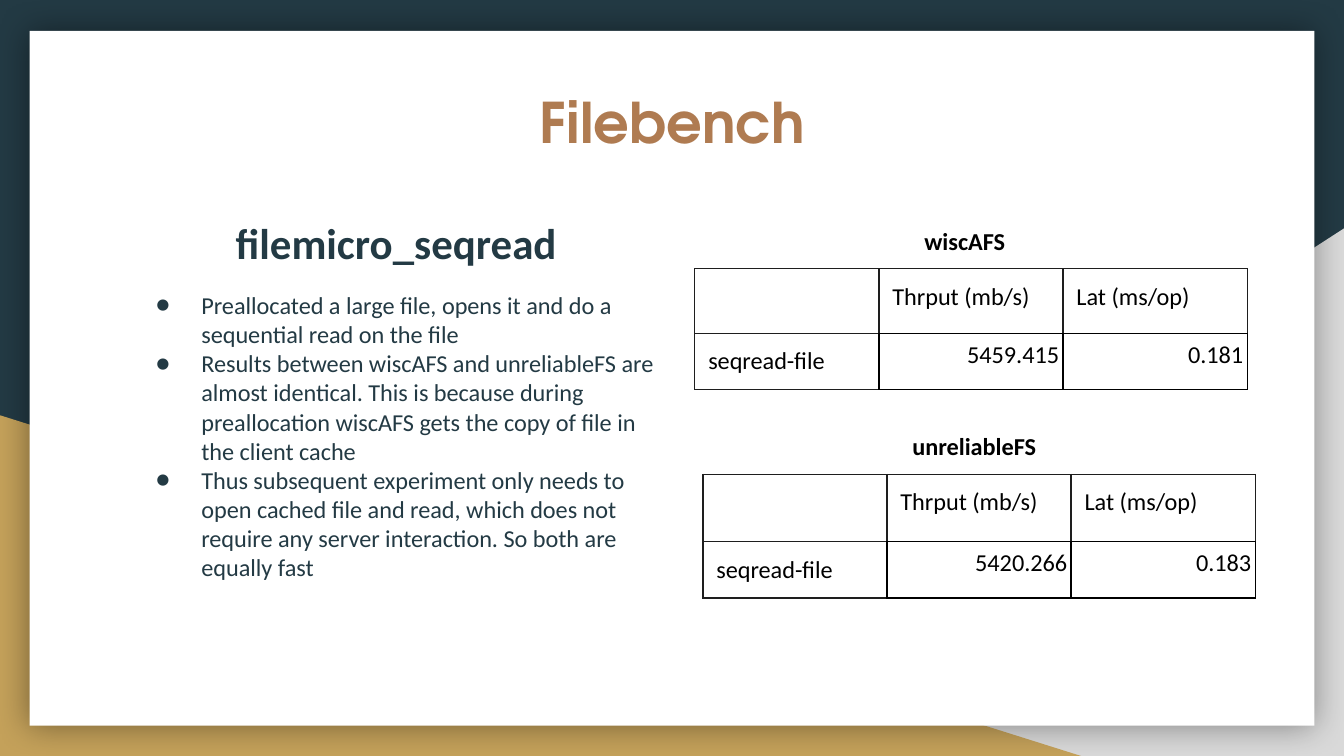
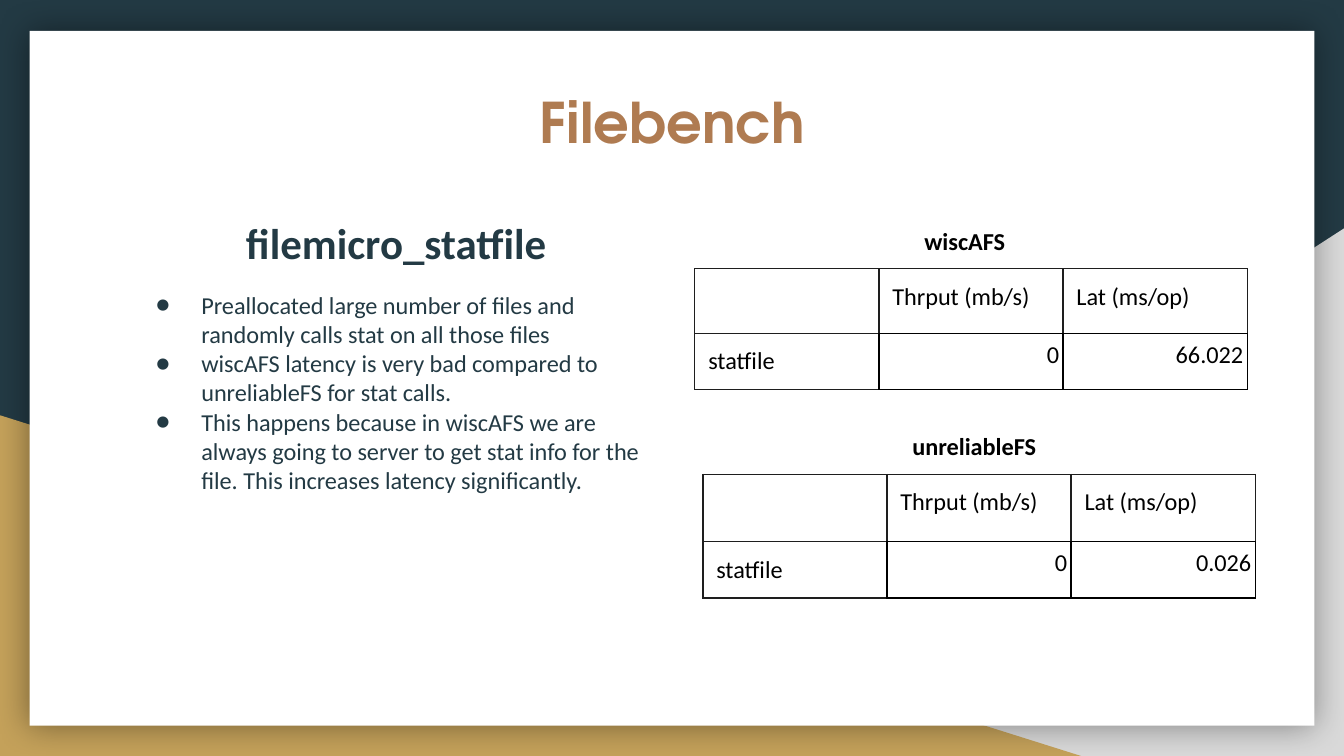
from dataclasses import dataclass

import pptx
import pptx.dml.color
import pptx.enum.shapes
import pptx.enum.text
import pptx.oxml
import pptx.oxml.ns
import pptx.util
from lxml import etree

Inches = pptx.util.Inches
Pt = pptx.util.Pt
ALIGN = pptx.enum.text.PP_ALIGN
SHAPE = pptx.enum.shapes.MSO_SHAPE
qn = pptx.oxml.ns.qn


@dataclass(frozen=True)
class Theme:
    navy: str = "233A44"
    gold: str = "C4A15A"
    grey: str = "D9D9D9"
    white: str = "FFFFFF"
    copper: str = "AF7B51"
    black: str = "000000"
    grid: str = "1E1E1E"
    title_font: str = "TeX Gyre Adventor"
    body_font: str = "Calibri"
    title_size: int = 30
    heading_size: int = 23
    body_size: int = 13
    grid_width: float = 0.75
    inset: float = 0.1


THEME = Theme()


@dataclass(frozen=True)
class Box:
    left: float
    top: float
    width: float
    height: float

    def emu(self) -> tuple:
        return tuple(Inches(v) for v in (self.left, self.top, self.width, self.height))


@dataclass(frozen=True)
class Backdrop:
    preset: int
    box: Box
    color: str
    flip: bool = False
    shadow: bool = False


@dataclass(frozen=True)
class ResultPlace:
    """Where the label and table of one file system stand."""
    name: str
    label: Box
    left: float
    top: float
    rows: tuple


@dataclass(frozen=True)
class Benchmark:
    heading: str
    row_name: str
    points: tuple
    results: tuple


BACKDROPS = (
    Backdrop(SHAPE.RIGHT_TRIANGLE, Box(3.92, 1.7, 6.08, 3.93), THEME.grey, flip=True),
    Backdrop(SHAPE.RIGHT_TRIANGLE, Box(0, 3.09, 8.06, 2.54), THEME.gold),
    Backdrop(SHAPE.RECTANGLE, Box(0.22, 0.23, 9.56, 5.17), THEME.white, shadow=True),
)
TITLE_BOX = Box(0.9, 0.55, 8.21, 0.77)
BODY_BOX = Box(0.9, 1.51, 4.1, 3.43)
PLACES = (
    ResultPlace("wiscAFS", Box(6.78, 1.58, 0.89, 0.42), 5.17, 2, (0.48, 0.42)),
    ResultPlace("unreliableFS", Box(6.69, 3.11, 1.19, 0.42), 5.23, 3.53, (0.5, 0.42)),
)
COLUMN_WIDTH = 1.37
HEADERS = ("", "Thrput (mb/s)", "Lat (ms/op)")

BENCHMARKS = (
    Benchmark(
        "filemicro_seqread",
        "seqread-file",
        (
            "Preallocated a large file, opens it and do a sequential read on the file",
            "Results between wiscAFS and unreliableFS are almost identical. This is because "
            "during preallocation wiscAFS gets the copy of file in the client cache",
            "Thus subsequent experiment only needs to open cached file and read, which does "
            "not require any server interaction. So both are equally fast",
        ),
        (("5459.415", "0.181"), ("5420.266", "0.183")),
    ),
    Benchmark(
        "filemicro_statfile",
        "statfile",
        (
            "Preallocated large number of files and randomly calls stat on all those files",
            "wiscAFS latency is very bad compared to unreliableFS for stat calls.",
            "This happens because in wiscAFS we are always going to server to get stat info "
            "for the file. This increases latency significantly.",
        ),
        (("0", "66.022"), ("0", "0.026")),
    ),
)


def rgb(color: str) -> pptx.dml.color.RGBColor:
    return pptx.dml.color.RGBColor.from_string(color)


def write(p, text: str, *, size: int = THEME.body_size, font: str = THEME.body_font,
          color: str = THEME.black, bold: bool = False, align=ALIGN.LEFT,
          before: float = 0, spacing: float = 1.0) -> None:
    p.alignment = align
    p.space_before = Pt(before)
    p.line_spacing = spacing
    if not text:
        etree.SubElement(p._p, qn("a:endParaRPr"), sz=str(size * 100))
        return
    r = p.add_run()
    r.text = text
    r.font.size = Pt(size)
    r.font.name = font
    r.font.bold = bold
    r.font.color.rgb = rgb(color)


def add_bullet(p, color: str) -> None:
    pPr = p._p.get_or_add_pPr()
    pPr.set("marL", str(Inches(0.5)))
    pPr.set("indent", str(-Inches(0.34)))
    bullet_color = etree.SubElement(pPr, qn("a:buClr"))
    etree.SubElement(bullet_color, qn("a:srgbClr"), val=color)
    etree.SubElement(pPr, qn("a:buSzPts"), val=str(THEME.body_size * 100))
    etree.SubElement(pPr, qn("a:buFont"), typeface=THEME.body_font)
    etree.SubElement(pPr, qn("a:buChar"), char="●")


def add_text_frame(s, box: Box):
    tf = s.shapes.add_textbox(*box.emu()).text_frame
    tf.word_wrap = True
    tf.margin_left = tf.margin_right = Inches(THEME.inset)
    tf.margin_top = tf.margin_bottom = Inches(THEME.inset)
    return tf


def add_soft_shadow(sp) -> None:
    effects = sp._element.spPr.find(qn("a:effectLst"))
    shadow = etree.SubElement(effects, qn("a:outerShdw"), blurRad=str(Pt(18)),
                              dist="0", dir="0", algn="ctr", rotWithShape="0")
    color = etree.SubElement(shadow, qn("a:srgbClr"), val=THEME.black)
    etree.SubElement(color, qn("a:alpha"), val="40000")


def add_backdrop(s, item: Backdrop) -> None:
    sp = s.shapes.add_shape(item.preset, *item.box.emu())
    sp.shadow.inherit = False
    sp.fill.solid()
    sp.fill.fore_color.rgb = rgb(item.color)
    sp.line.fill.background()
    if item.flip:
        sp._element.spPr.find(qn("a:xfrm")).set("flipH", "1")
    if item.shadow:
        add_soft_shadow(sp)


def set_borders(cell, color: str) -> None:
    tcPr = cell._tc.get_or_add_tcPr()
    for i, side in enumerate(("lnL", "lnR", "lnT", "lnB")):
        ln = etree.Element(qn(f"a:{side}"), w=str(Pt(THEME.grid_width)))
        fill = etree.SubElement(ln, qn("a:solidFill"))
        etree.SubElement(fill, qn("a:srgbClr"), val=color)
        tcPr.insert(i, ln)


def fill_cell(cell, text: str, is_value: bool) -> None:
    across, down = (0.03, 0.02) if is_value else (THEME.inset, THEME.inset)
    cell.margin_left = cell.margin_right = Inches(across)
    cell.margin_top = cell.margin_bottom = Inches(down)
    cell.fill.background()
    set_borders(cell, THEME.black if is_value else THEME.grid)
    write(cell.text_frame.paragraphs[0], text,
          align=ALIGN.RIGHT if is_value else ALIGN.LEFT,
          spacing=1.15 if is_value else 1.0)


def add_result(s, place: ResultPlace, row_name: str, values: tuple) -> None:
    box = Box(place.left, place.top, COLUMN_WIDTH * len(HEADERS), sum(place.rows))
    table = s.shapes.add_table(len(place.rows), len(HEADERS), *box.emu()).table
    table.first_row = table.horz_banding = False
    for column in table.columns:
        column.width = Inches(COLUMN_WIDTH)
    for row, height in zip(table.rows, place.rows):
        row.height = Inches(height)
    for i, texts in enumerate((HEADERS, (row_name, *values))):
        for j, text in enumerate(texts):
            fill_cell(table.cell(i, j), text, is_value=i > 0 and j > 0)
    write(add_text_frame(s, place.label).paragraphs[0], place.name, bold=True)


def add_body(s, benchmark: Benchmark) -> None:
    tf = add_text_frame(s, BODY_BOX)
    write(tf.paragraphs[0], benchmark.heading, size=THEME.heading_size,
          color=THEME.navy, bold=True, align=ALIGN.CENTER)
    for i, point in enumerate(benchmark.points):
        p = tf.add_paragraph()
        write(p, point, color=THEME.navy, before=12 if i == 0 else 0)
        add_bullet(p, THEME.navy)


def add_benchmark_slide(prs, benchmark: Benchmark) -> None:
    s = prs.slides.add_slide(prs.slide_layouts[6])
    s.background.fill.solid()
    s.background.fill.fore_color.rgb = rgb(THEME.navy)
    for item in BACKDROPS:
        add_backdrop(s, item)
    write(add_text_frame(s, TITLE_BOX).paragraphs[0], "Filebench", size=THEME.title_size,
          font=THEME.title_font, color=THEME.copper, bold=True, align=ALIGN.CENTER)
    add_body(s, benchmark)
    for place, values in zip(PLACES, benchmark.results):
        add_result(s, place, benchmark.row_name, values)


def main() -> None:
    prs = pptx.Presentation()
    prs.slide_width = Inches(10)
    prs.slide_height = Inches(10) * 9 // 16
    for benchmark in BENCHMARKS:
        add_benchmark_slide(prs, benchmark)
    prs.save("out.pptx")


if __name__ == "__main__":
    main()
